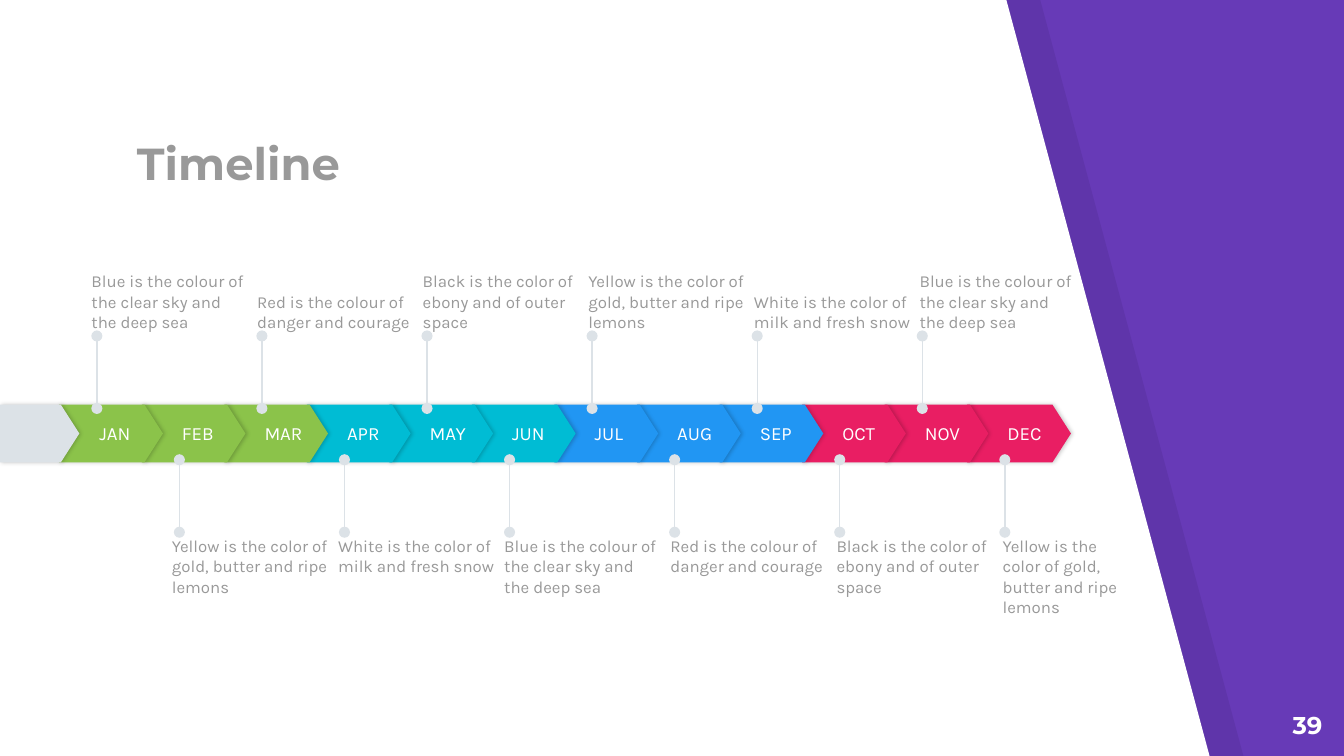
from lxml import etree
from pptx import Presentation, util as u
from pptx.dml.color import RGBColor
from pptx.enum import shapes, text
from pptx.oxml import parse_xml
from pptx.oxml.ns import nsdecls, qn

# Content
TITLE = "Timeline"
PAGE_NUMBER = "39"
QUARTERS = [
    ("8BC34A", ["JAN", "FEB", "MAR"]),
    ("00BCD4", ["APR", "MAY", "JUN"]),
    ("2196F3", ["JUL", "AUG", "SEP"]),
    ("E91E63", ["OCT", "NOV", "DEC"]),
]
BLUE = "Blue is the colour of the clear sky and the deep sea"
RED = "Red is the colour of danger and courage"
BLACK = "Black is the color of ebony and of outer space"
YELLOW = "Yellow is the color of gold, butter and ripe lemons"
WHITE = "White is the color of milk and fresh snow"

# Odd months have notes above the band, even months below (lengths in cm)
NOTE_ROWS = [
    {"first": 0, "notes": [BLUE, RED, BLACK, YELLOW, WHITE, BLUE],
     "left": 1.73, "step": 3.13, "top": 4.8, "last_width": 2.95,
     "anchor": text.MSO_ANCHOR.BOTTOM, "stem": (7.72, 6.35)},
    {"first": 1, "notes": [YELLOW, WHITE, BLUE, RED, BLACK, YELLOW],
     "left": 3.25, "step": 3.14, "top": 10.13, "last_width": 2.44,
     "anchor": text.MSO_ANCHOR.TOP, "stem": (10.06, 8.69)},
]

THEME = {
    "back": "673AB7", "paper": "FFFFFF", "edge": "000000", "pale": "DCE2E7",
    "title": {"size": u.Pt(24), "name": "Montserrat", "bold": True, "color": "999999"},
    "number": {"size": u.Pt(13), "name": "Montserrat", "bold": True, "color": "FFFFFF"},
    "month": {"size": u.Pt(10), "name": "Karla", "color": "FFFFFF"},
    "note": {"size": u.Pt(9), "name": "Karla", "color": "999999"},
}

# Layout in cm
WIDTH, HEIGHT = 25.4, 14.29
BAND_TOP, BAND_HEIGHT = 7.65, 1.09
MONTH_LEFT, MONTH_STEP, MONTH_WIDTH = 1.12, 1.56, 1.96
STEM_LEFT = 1.83
NOTE_WIDTH, NOTE_HEIGHT = 2.95, 1.47

deck = Presentation()
deck.slide_width, deck.slide_height = u.Cm(WIDTH), u.Cm(HEIGHT)
page = deck.slides.add_slide(deck.slide_layouts[6])


def paint(fill, color):
    fill.solid()
    fill.fore_color.rgb = RGBColor.from_string(color)


def write(shape, words, style, anchor, insets=(0, 0, 0, 0), align=text.PP_ALIGN.LEFT):
    frame = shape.text_frame
    left, top, right, bottom = map(u.Cm, insets)
    settings = {"word_wrap": True, "vertical_anchor": anchor, "margin_left": left,
                "margin_top": top, "margin_right": right, "margin_bottom": bottom}
    for name, value in settings.items():
        setattr(frame, name, value)
    para = frame.paragraphs[0]
    para.alignment = align
    span = para.add_run()
    span.text = words
    for name, value in style.items():
        if name == "color":
            span.font.color.rgb = RGBColor.from_string(value)
        else:
            setattr(span.font, name, value)


def add_text(place, words, style, anchor, **options):
    box = page.shapes.add_textbox(*map(u.Cm, place))
    write(box, words, style, anchor, **options)


def add_panel(left, slope_top, slope_bottom, color):
    corners = [(left, 0), (left, HEIGHT), (slope_bottom, HEIGHT), (slope_top, 0)]
    points = [(u.Cm(x), u.Cm(y)) for x, y in corners]
    builder = page.shapes.build_freeform(*points[0])
    builder.add_line_segments(points[1:], close=True)
    panel = builder.convert_to_shape()
    panel.shadow.inherit = False
    paint(panel.fill, color)
    panel.line.fill.background()
    return panel


def add_arrow(left, width, color):
    arrow = page.shapes.add_shape(shapes.MSO_SHAPE.PENTAGON, u.Cm(left), u.Cm(BAND_TOP),
                                  u.Cm(width), u.Cm(BAND_HEIGHT))
    arrow.adjustments[0] = 0.32
    paint(arrow.fill, color)
    arrow.line.fill.background()
    arrow._element.spPr.append(parse_xml(
        f'<a:effectLst {nsdecls("a")}><a:outerShdw blurRad="{u.Pt(2.2)}" dist="{u.Pt(0.8)}" '
        'dir="0" algn="bl" rotWithShape="0"><a:srgbClr val="000000"><a:alpha val="20000"/>'
        '</a:srgbClr></a:outerShdw></a:effectLst>'))
    return arrow


def add_stem(x, start, end):
    stem = page.shapes.add_connector(shapes.MSO_CONNECTOR.STRAIGHT,
                                     u.Cm(x), u.Cm(start), u.Cm(x), u.Cm(end))
    stem.line.width = u.Pt(0.75)
    paint(stem.line.fill, THEME["pale"])
    line = stem.line._get_or_add_ln()
    for tag in ("a:headEnd", "a:tailEnd"):
        etree.SubElement(line, qn(tag), type="oval", w="med", len="med")
    etree.SubElement(stem._element.spPr, qn("a:effectLst"))


# Background with slanted paper and its darker edge
paint(page.background.fill, THEME["back"])
edge = add_panel(0.64, 19.66, 23.5, THEME["edge"])
edge_color = edge._element.spPr.find(qn("a:solidFill"))[0]
etree.SubElement(edge_color, qn("a:alpha"), val="7000")
add_panel(0, 19.02, 22.86, THEME["paper"])

# Title and page number
add_text((2.34, 2.69, 13.34, 1.14), TITLE, THEME["title"], text.MSO_ANCHOR.BOTTOM,
         insets=(0.25,) * 4)
add_text((23.72, 13.18, 1.52, 1.09), PAGE_NUMBER, THEME["number"], text.MSO_ANCHOR.TOP,
         insets=(0.25,) * 4, align=text.PP_ALIGN.RIGHT)

# Month band, last month first so that each arrow overlaps the next one
months = [(name, color) for color, names in QUARTERS for name in names]
for index, (name, color) in reversed(list(enumerate(months))):
    month = add_arrow(MONTH_LEFT + index * MONTH_STEP, MONTH_WIDTH, color)
    write(month, name, THEME["month"], text.MSO_ANCHOR.MIDDLE, insets=(0.76, 0, 0, 0))
add_arrow(0, 1.5, THEME["pale"])

# Stems and notes
for row in NOTE_ROWS:
    last = len(row["notes"]) - 1
    for index, note in enumerate(row["notes"]):
        add_stem(STEM_LEFT + (row["first"] + 2 * index) * MONTH_STEP, *row["stem"])
        width = row["last_width"] if index == last else NOTE_WIDTH
        add_text((row["left"] + index * row["step"], row["top"], width, NOTE_HEIGHT),
                 note, THEME["note"], row["anchor"])

deck.save("out.pptx")
